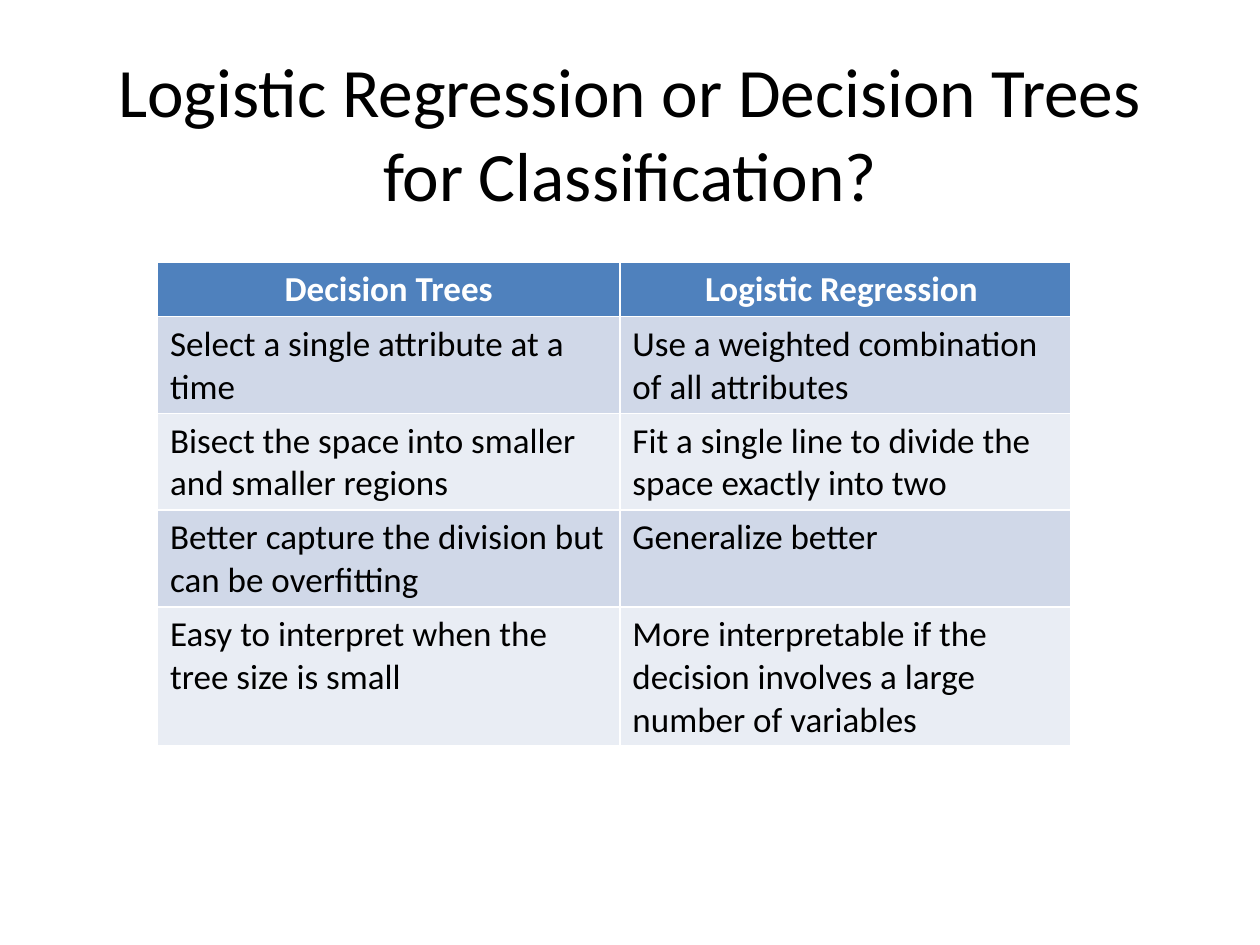
from pptx import Presentation
from pptx.dml.color import RGBColor
from pptx.enum.text import MSO_ANCHOR, PP_ALIGN
from pptx.util import Inches, Pt

BLACK = RGBColor(0x00, 0x00, 0x00)
WHITE = RGBColor(0xFF, 0xFF, 0xFF)
HEADER = RGBColor(0x4F, 0x81, 0xBD)
BANDS = [RGBColor(0xE9, 0xED, 0xF4), RGBColor(0xD0, 0xD8, 0xE8)]

ROWS = [
    ("Decision Trees", "Logistic Regression "),
    ("Select a single attribute at a time",
     "Use a weighted combination of all attributes"),
    ("Bisect the space into smaller and smaller regions",
     "Fit a single line to divide the space exactly into two"),
    ("Better capture the division but can be overfitting",
     "Generalize better"),
    ("Easy to interpret when the tree size is small",
     "More interpretable if the decision involves a large number of variables"),
]
COL_WIDTHS = [3.67, 3.58]
ROW_HEIGHT = 0.41


def style_text(p, size, color, bold=False, align=PP_ALIGN.LEFT):
    p.alignment = align
    for r in p.runs:
        r.font.name = "Calibri"
        r.font.size = Pt(size)
        r.font.bold = bold
        r.font.color.rgb = color


prs = Presentation()
prs.slide_width, prs.slide_height = Inches(10), Inches(7.5)
s = prs.slides.add_slide(prs.slide_layouts[6])

# Title
tf = s.shapes.add_textbox(Inches(0.5), Inches(0.42), Inches(9), Inches(1.25)).text_frame
tf.word_wrap = True
tf.vertical_anchor = MSO_ANCHOR.MIDDLE
tf.text = "Logistic Regression or Decision Trees for Classification?"
style_text(tf.paragraphs[0], 39.6, BLACK, align=PP_ALIGN.CENTER)

# Comparison table; the default table style draws the white rules
table = s.shapes.add_table(
    len(ROWS), len(COL_WIDTHS), Inches(1.25), Inches(2.08),
    Inches(sum(COL_WIDTHS)), Inches(ROW_HEIGHT * len(ROWS))).table
for col, width in zip(table.columns, COL_WIDTHS):
    col.width = Inches(width)

for i, texts in enumerate(ROWS):
    table.rows[i].height = Inches(ROW_HEIGHT)
    for j, text in enumerate(texts):
        cell = table.cell(i, j)
        cell.fill.solid()
        cell.fill.fore_color.rgb = BANDS[i % 2] if i else HEADER
        cell.text_frame.text = text
        p = cell.text_frame.paragraphs[0]
        if i == 0:
            style_text(p, 20, WHITE, bold=True, align=PP_ALIGN.CENTER)
        else:
            style_text(p, 20, BLACK)

prs.save("out.pptx")
